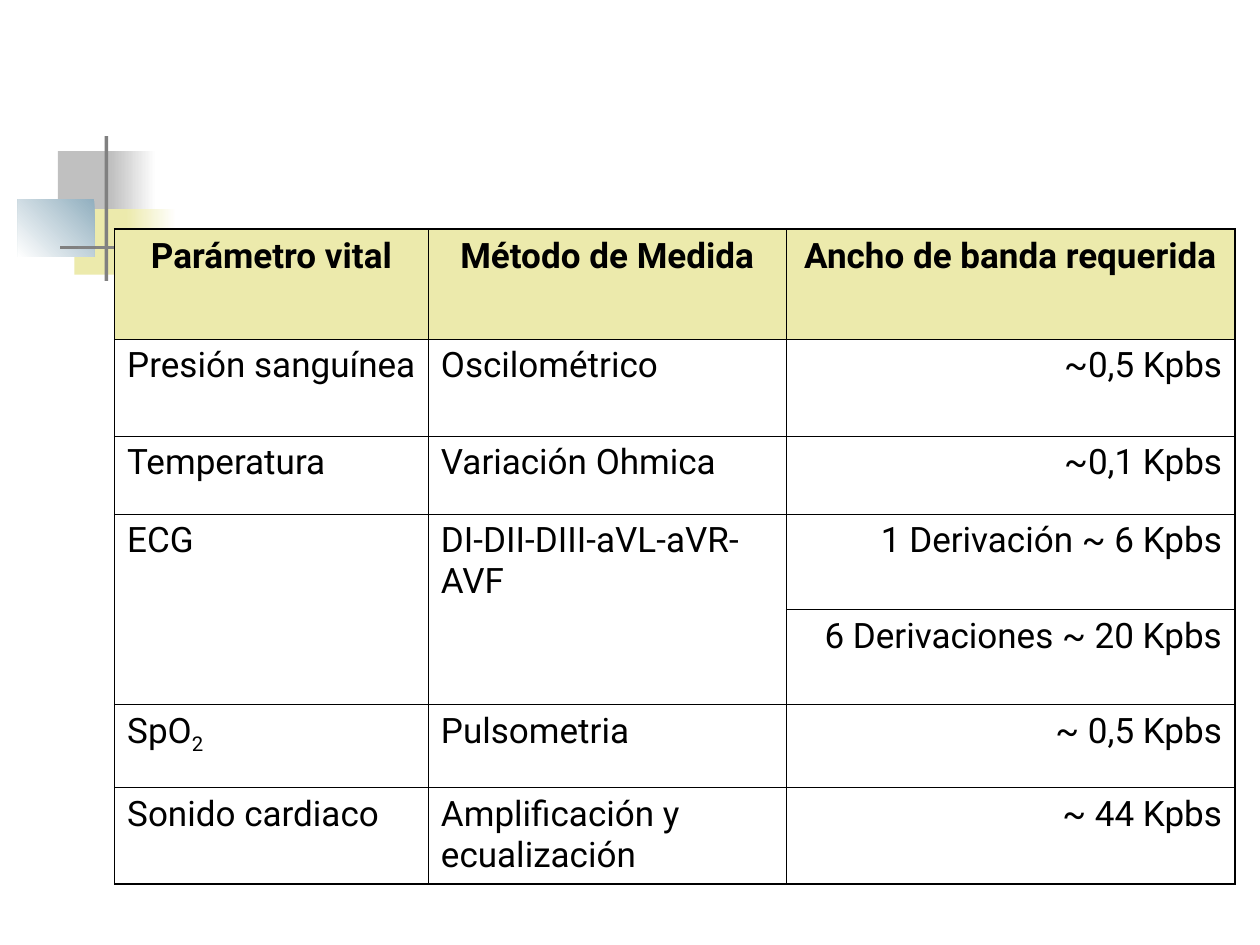
from lxml.etree import SubElement
from pptx import Presentation
from pptx.dml.color import RGBColor
from pptx.enum.shapes import MSO_SHAPE
from pptx.enum.text import PP_ALIGN
from pptx.oxml.ns import qn
from pptx.util import Inches, Pt

FONT = "Roboto"
BLACK, WHITE, SILVER, CREAM, BLUE, GREY = (
    "000000", "FFFFFF", "C0C0C0", "ECEAAC", "91AFBF", "808080")
THIN, THICK = Pt(0.45), Pt(1.08)
COLS = [2.49, 2.84, 3.56]
ROWS = [0.87, 0.77, 0.62, 0.76, 0.75, 0.66, 0.77]
ALIGNS = [PP_ALIGN.LEFT, PP_ALIGN.LEFT, PP_ALIGN.RIGHT]
MERGED_ROW = 3
DATA = [
    ["Parámetro vital", "Método de Medida", "Ancho de banda requerida"],
    ["Presión sanguínea", "Oscilométrico", "~0,5 Kpbs"],
    ["Temperatura", "Variación Ohmica", "~0,1 Kpbs"],
    ["ECG", "DI-DII-DIII-aVL-aVR-AVF", "1 Derivación ~ 6 Kpbs"],
    ["", "", "6 Derivaciones ~ 20 Kpbs"],
    ["SpO_2", "Pulsometria", "~ 0,5 Kpbs"],
    ["Sonido cardiaco", "Amplificación y ecualización", "~ 44 Kpbs"],
]
DECOR = [
    (0.46, 1.2, 0.48, 0.52, [SILVER], 0),
    (0.88, 1.2, 0.36, 0.52, [WHITE, SILVER], 180),
    (0.59, 1.66, 0.46, 0.52, [CREAM], 0),
    (1, 1.66, 0.4, 0.52, [WHITE, CREAM], 180),
    (0.14, 1.58, 0.61, 0.46, [BLUE, WHITE], 225),
    (0.83, 1.08, 0.03, 1.15, [GREY], 0),
    (0.48, 1.95, 9, 0.03, [WHITE, GREY], 180),
]


def rgb(color):
    """Turn a hex string into a colour."""
    return RGBColor.from_string(color)


def add_block(s, x, y, w, h, colors, angle):
    """Add a borderless rectangle with a solid or gradient fill."""
    sp = s.shapes.add_shape(
        MSO_SHAPE.RECTANGLE, Inches(x), Inches(y), Inches(w), Inches(h))
    sp.shadow.inherit = False
    sp.line.fill.background()
    if len(colors) == 1:
        sp.fill.solid()
        sp.fill.fore_color.rgb = rgb(colors[0])
        return
    sp.fill.gradient()
    sp.fill.gradient_angle = angle
    for stop, color in zip(sp.fill.gradient_stops, colors):
        stop.color.rgb = rgb(color)


def set_borders(cell, row, col):
    """Draw thick lines on the table's outer edge and thin ones inside."""
    outer = {"L": col == 0, "R": col == len(COLS) - 1,
             "T": row == 0, "B": row == len(ROWS) - 1}
    tc_pr = cell._tc.get_or_add_tcPr()
    for side, is_outer in outer.items():
        ln = SubElement(tc_pr, qn(f"a:ln{side}"), w=str(THICK if is_outer else THIN))
        fill = SubElement(ln, qn("a:solidFill"))
        SubElement(fill, qn("a:srgbClr"), val=BLACK)


def set_text(cell, text, align, bold):
    """Write one paragraph, with what follows an underscore as subscript."""
    p = cell.text_frame.paragraphs[0]
    p.alignment = align
    p.space_before = Pt(5)
    p.font.name, p.font.size, p.font.bold = FONT, Pt(20), bold
    p.font.color.rgb = rgb(BLACK)
    base, _, sub = text.partition("_")
    p.add_run().text = base
    if sub:
        r = p.add_run()
        r.text = sub
        r._r.get_or_add_rPr().set("baseline", "-25000")


def fill_cell(cell, row, col):
    """Format one cell and write its text."""
    header = row == 0
    set_borders(cell, row, col)
    if header:
        cell.fill.solid()
        cell.fill.fore_color.rgb = rgb(CREAM)
    else:
        cell.fill.background()
    if DATA[row][col]:
        set_text(cell, DATA[row][col],
                 PP_ALIGN.CENTER if header else ALIGNS[col], header)


def add_parameter_table(s):
    """Add the table of vital parameters."""
    table = s.shapes.add_table(
        len(ROWS), len(COLS), Inches(0.91), Inches(1.82),
        Inches(sum(COLS)), Inches(sum(ROWS))).table
    table.first_row = table.horz_banding = False
    for column, width in zip(table.columns, COLS):
        column.width = Inches(width)
    for i, height in enumerate(ROWS):
        table.rows[i].height = Inches(height)
        for j in range(len(COLS)):
            fill_cell(table.cell(i, j), i, j)
    for j in range(2):
        table.cell(MERGED_ROW, j).merge(table.cell(MERGED_ROW + 1, j))


def main():
    """Build the slide and save it."""
    prs = Presentation()
    prs.slide_width, prs.slide_height = Inches(10), Inches(7.5)
    s = prs.slides.add_slide(prs.slide_layouts[6])
    for block in DECOR:
        add_block(s, *block)
    add_parameter_table(s)
    prs.save("out.pptx")


if __name__ == "__main__":
    main()
